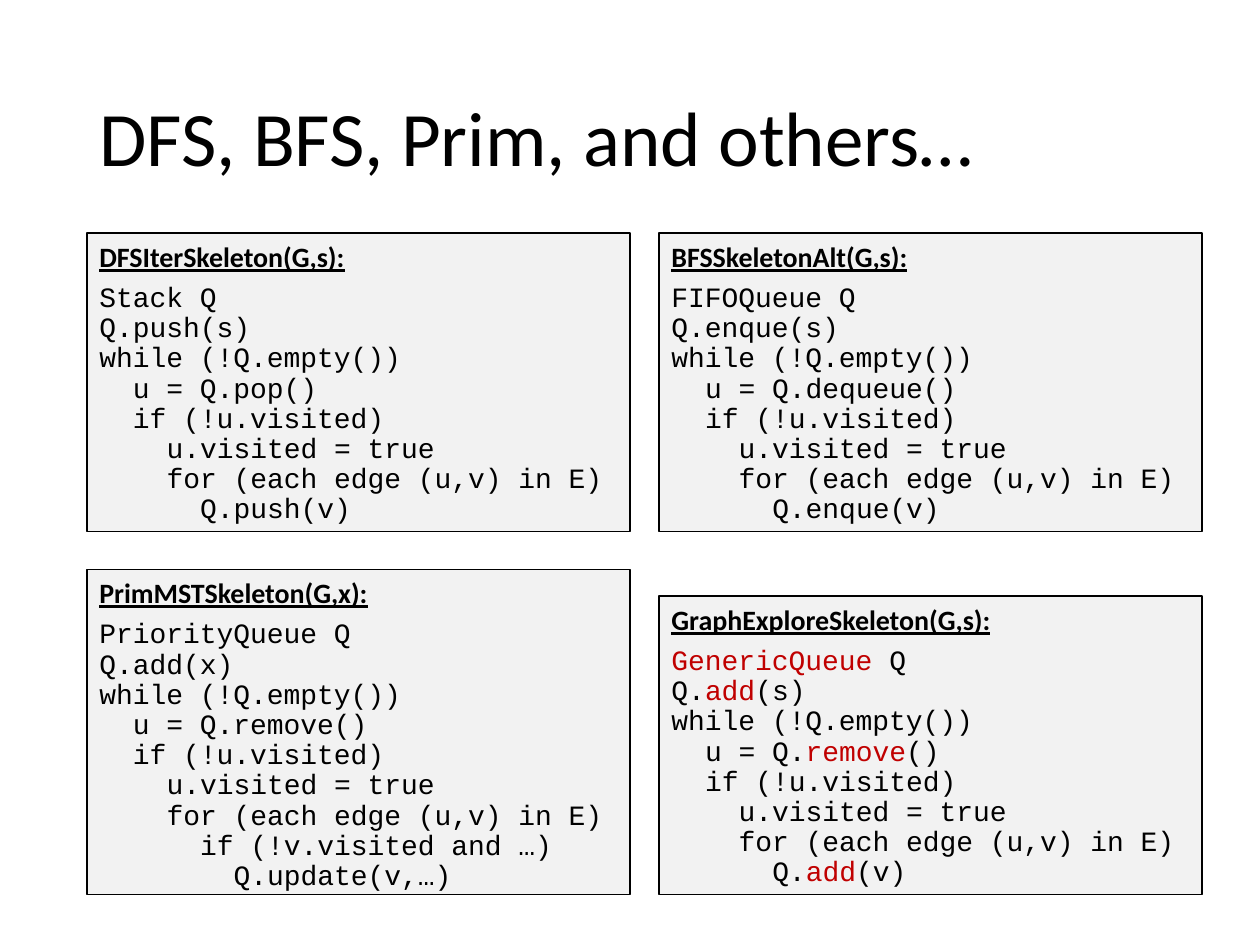
"""Build a slide comparing four graph traversal skeletons."""
import pptx
import pptx.dml.color
import pptx.enum.shapes
import pptx.enum.text
import pptx.util

Pt = pptx.util.Pt
BLACK = pptx.dml.color.RGBColor(0x00, 0x00, 0x00)
RED = pptx.dml.color.RGBColor(0xC0, 0x00, 0x00)
LIGHT_GRAY = pptx.dml.color.RGBColor(0xF2, 0xF2, 0xF2)

LEFT, RIGHT = 49.7, 376.6
BOX_WIDTH = 310.3
BOX_HEIGHT, TALL_HEIGHT = 170.6, 185.8
TOP, BOTTOM = 133.2, 511.2
INDENT_STEP = 19.2


def add_run(paragraph, text, font_name, size, color):
    run = paragraph.add_run()
    run.text = text
    run.font.name = font_name
    run.font.size = Pt(size)
    run.font.color.rgb = color
    return run


def add_code_line(text_frame, indent, text):
    paragraph = text_frame.add_paragraph()
    paragraph.alignment = pptx.enum.text.PP_ALIGN.LEFT
    paragraph.line_spacing = 0.9
    paragraph._p.get_or_add_pPr().set("marL", str(Pt(indent * INDENT_STEP)))
    for position, part in enumerate(text.split("|")):
        if part:
            add_run(paragraph, part, "Courier New", 16, RED if position % 2 else BLACK)


presentation = pptx.Presentation()
presentation.slide_width = Pt(720)
presentation.slide_height = Pt(540)
slide = presentation.slides.add_slide(presentation.slide_layouts[5])

title = slide.shapes.title
title.left, title.top, title.width, title.height = Pt(LEFT), Pt(28.8), Pt(620.6), Pt(104.4)
title.text_frame.vertical_anchor = pptx.enum.text.MSO_ANCHOR.MIDDLE
title.text_frame.auto_size = pptx.enum.text.MSO_AUTO_SIZE.NONE
title_paragraph = title.text_frame.paragraphs[0]
title_paragraph.alignment = pptx.enum.text.PP_ALIGN.LEFT
title_paragraph.line_spacing = 0.9
add_run(title_paragraph, "DFS, BFS, Prim, and others…", "Calibri", 44, BLACK)

# Words between bars are highlighted in red.
skeletons = [
    (LEFT, TOP, BOX_HEIGHT, "DFSIterSkeleton(G,s):",
     "Stack Q", "Q.push(s)", "u = Q.pop()", [(3, "Q.push(v)")]),
    (RIGHT, TOP, BOX_HEIGHT, "BFSSkeletonAlt(G,s):",
     "FIFOQueue Q", "Q.enque(s)", "u = Q.dequeue()", [(3, "Q.enque(v)")]),
    (RIGHT, BOTTOM - BOX_HEIGHT, BOX_HEIGHT, "GraphExploreSkeleton(G,s):",
     "|GenericQueue| Q", "Q.|add|(s)", "u = Q.|remove|()", [(3, "Q.|add|(v)")]),
    (LEFT, BOTTOM - TALL_HEIGHT, TALL_HEIGHT, "PrimMSTSkeleton(G,x):",
     "PriorityQueue Q", "Q.add(x)", "u = Q.remove()",
     [(3, "if (!v.visited and …)"), (4, "Q.update(v,…)")]),
]

for left, top, height, heading, declaration, insertion, removal, loop_body in skeletons:
    box = slide.shapes.add_shape(
        pptx.enum.shapes.MSO_SHAPE.RECTANGLE, Pt(left), Pt(top), Pt(BOX_WIDTH), Pt(height))
    box.shadow.inherit = False
    box.fill.solid()
    box.fill.fore_color.rgb = LIGHT_GRAY
    box.line.color.rgb = BLACK
    box.line.width = Pt(1)
    text_frame = box.text_frame
    text_frame.word_wrap = True
    text_frame.vertical_anchor = pptx.enum.text.MSO_ANCHOR.TOP
    heading_paragraph = text_frame.paragraphs[0]
    heading_paragraph.alignment = pptx.enum.text.PP_ALIGN.LEFT
    heading_paragraph.space_after = Pt(6)
    heading_run = add_run(heading_paragraph, heading, "Calibri", 16, BLACK)
    heading_run.font.bold = True
    heading_run.font.underline = True
    code_lines = [
        (0, declaration),
        (0, insertion),
        (0, "while (!Q.empty())"),
        (1, removal),
        (1, "if (!u.visited)"),
        (2, "u.visited = true"),
        (2, "for (each edge (u,v) in E)"),
    ] + loop_body
    for indent, code in code_lines:
        add_code_line(text_frame, indent, code)

presentation.save("out.pptx")
